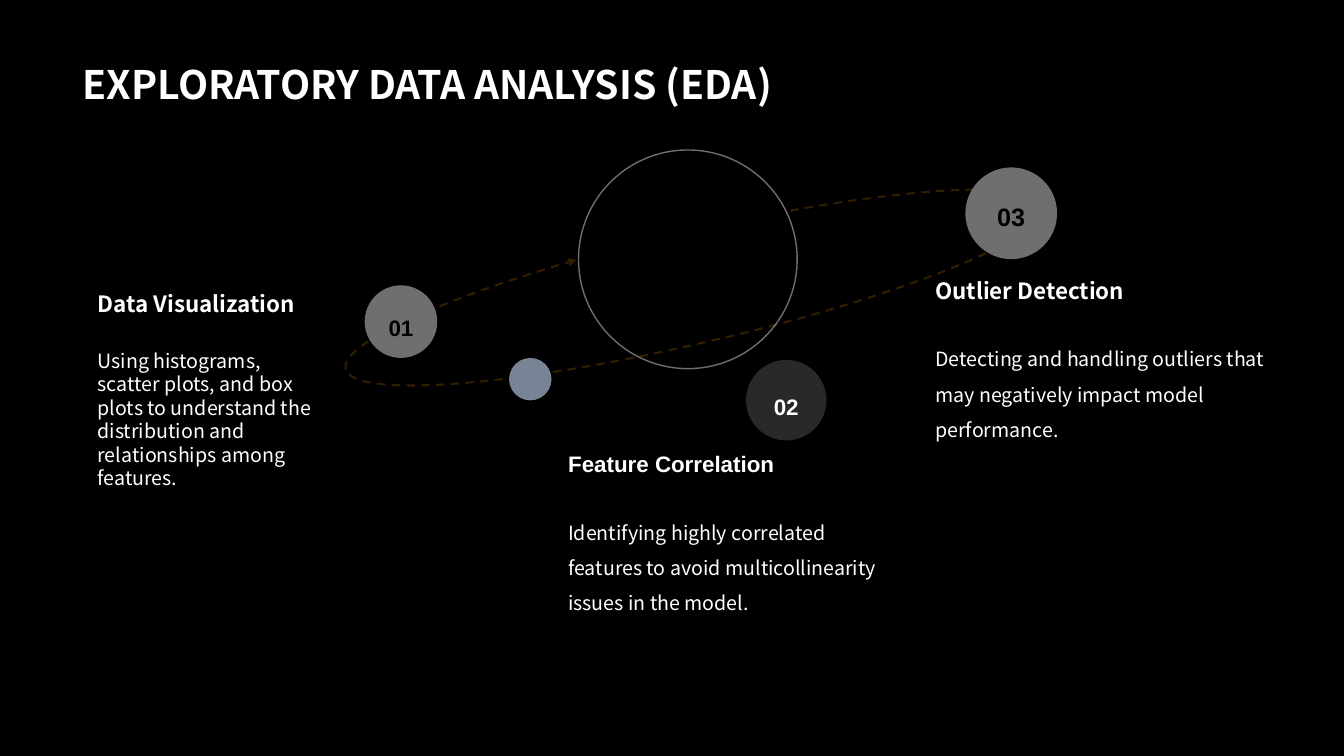
from math import cos, radians, sin

from lxml import etree
from pptx import Presentation
from pptx.dml.color import RGBColor
from pptx.enum.dml import MSO_LINE
from pptx.enum.shapes import MSO_SHAPE
from pptx.enum.text import MSO_ANCHOR, MSO_AUTO_SIZE, PP_ALIGN
from pptx.oxml.ns import qn
from pptx.util import Cm, Pt

OVAL = MSO_SHAPE.OVAL
DASH = MSO_LINE.DASH
TOP, MIDDLE, BOTTOM = MSO_ANCHOR.TOP, MSO_ANCHOR.MIDDLE, MSO_ANCHOR.BOTTOM
LEFT, CENTER = PP_ALIGN.LEFT, PP_ALIGN.CENTER
GROW, FIXED = MSO_AUTO_SIZE.SHAPE_TO_FIT_TEXT, MSO_AUTO_SIZE.NONE

COLORS = {"black": "000000", "white": "FFFFFF", "gray": "6F6F6F",
          "slate": "778495", "orange": "F99A04"}
SANS, ARIAL = "Noto Sans CJK SC", "Arial"

ORBIT_TILT = -2.7
ORBIT_CENTER = (17.53, 7.3)
ORBIT_CURVES = [
    [(19.91, 5.31), (23.5, 4.67), (26.19, 4.57), (26.31, 5.21)],
    [(26.31, 5.21), (26.49, 5.94), (22.71, 7.49), (17.83, 8.61)],
    [(17.83, 8.61), (12.98, 9.75), (8.89, 10.06), (8.71, 9.3)],
    [(8.71, 9.3), (8.56, 8.69), (11.02, 7.57), (14.53, 6.55)],
]
CURVE_STEPS = 24

TOPICS = [
    {"heading": "Outlier Detection", "font": SANS, "at": (23.32, 6.86),
     "width": 8.89, "height": 4.65, "spacing": 1.5,
     "body": "Detecting and handling outliers that may negatively impact model performance."},
    {"heading": "Data Visualization", "font": SANS, "at": (2.21, 7.19),
     "width": 6.15, "height": 6.43, "spacing": None,
     "body": "Using histograms, scatter plots, and box plots to understand the "
             "distribution and relationships among features."},
    {"heading": "Feature Correlation", "font": ARIAL, "at": (14.07, 11.23),
     "width": 8.89, "height": 4.65, "spacing": 1.5,
     "body": "Identifying highly correlated features to avoid multicollinearity "
             "issues in the model."},
]


def rgb(name):
    return RGBColor.from_string(COLORS[name])


def apply(target, values):
    for name, value in values.items():
        setattr(target, name, value)


def set_alpha(fill, percent):
    color = fill._xPr.find(qn("a:solidFill"))[0]
    etree.SubElement(color, qn("a:alpha"), val=str(percent * 1000))


def write_text(sp, text, font, color="white", frame=None, para=None):
    tf = sp.text_frame
    apply(tf, {"word_wrap": True, **(frame or {})})
    p = tf.paragraphs[0]
    apply(p, para or {})
    r = p.add_run()
    r.text = text
    apply(r.font, font)
    r.font.color.rgb = rgb(color)


def add_text(s, box, text, font, frame, para):
    sp = s.shapes.add_textbox(*map(Cm, box))
    write_text(sp, text, font, frame=frame, para={"alignment": LEFT, **para})


def add_circle(s, x, y, size, fill=None, alpha=None):
    sp = s.shapes.add_shape(OVAL, Cm(x), Cm(y), Cm(size), Cm(size))
    sp.shadow.inherit = False
    if fill:
        sp.fill.solid()
        sp.fill.fore_color.rgb = rgb(fill)
        sp.line.fill.background()
    else:
        sp.fill.background()
        sp.line.color.rgb = rgb("gray")
        sp.line.width = Pt(1)
    if alpha:
        set_alpha(sp.fill, alpha)
    return sp


def add_number(s, x, y, size, text, points, fill, color, anchor=TOP, alpha=None):
    sp = add_circle(s, x, y, size, fill, alpha)
    write_text(sp, text, {"name": ARIAL, "size": Pt(points), "bold": True}, color,
               {"vertical_anchor": anchor}, {"alignment": CENTER, "line_spacing": 1.5})


def bezier_point(curve, t):
    weights = ((1 - t) ** 3, 3 * t * (1 - t) ** 2, 3 * t ** 2 * (1 - t), t ** 3)
    return [sum(w * point[axis] for w, point in zip(weights, curve)) for axis in (0, 1)]


def untilt(point):
    angle = radians(-ORBIT_TILT)
    dx, dy = (a - b for a, b in zip(point, ORBIT_CENTER))
    return (Cm(ORBIT_CENTER[0] + dx * cos(angle) - dy * sin(angle)),
            Cm(ORBIT_CENTER[1] + dx * sin(angle) + dy * cos(angle)))


def add_orbit(s):
    points = [untilt(ORBIT_CURVES[0][0])]
    points += [untilt(bezier_point(curve, step / CURVE_STEPS))
               for curve in ORBIT_CURVES for step in range(1, CURVE_STEPS + 1)]
    builder = s.shapes.build_freeform(*points[0])
    builder.add_line_segments(points[1:], close=False)
    sp = builder.convert_to_shape()
    sp.rotation = ORBIT_TILT
    sp.shadow.inherit = False
    sp.fill.background()
    sp.line.color.rgb = rgb("orange")
    apply(sp.line, {"width": Pt(1.5), "dash_style": DASH})
    set_alpha(sp.line.fill, 20)
    etree.SubElement(sp.line._ln, qn("a:tailEnd"), type="triangle")


def add_topic(s, topic):
    x, y = topic["at"]
    frame = {"auto_size": GROW}
    add_text(s, (x, y + 1.47, topic["width"], topic["height"]), topic["body"],
             {"name": SANS, "size": Pt(14)}, frame, {"line_spacing": topic["spacing"]})
    add_text(s, (x, y, topic["width"], 0.94), topic["heading"],
             {"name": topic["font"], "size": Pt(16), "bold": True}, frame, {})


def main():
    """Build the exploratory data analysis slide."""
    prs = Presentation()
    apply(prs, {"slide_width": Cm(33.87), "slide_height": Cm(19.05)})
    s = prs.slides.add_slide(prs.slide_layouts[6])
    s.background.fill.solid()
    s.background.fill.fore_color.rgb = rgb("black")

    add_text(s, (1.83, 0, 30.18, 2.84), "EXPLORATORY DATA ANALYSIS (EDA)",
             {"name": SANS, "size": Pt(28), "bold": True},
             {"vertical_anchor": BOTTOM, "auto_size": FIXED}, {"line_spacing": 0.9})
    add_circle(s, 14.58, 3.78, 5.51)
    add_orbit(s)
    add_number(s, 9.19, 7.19, 1.83, "01", 16, "gray", "black")
    add_number(s, 24.33, 4.22, 2.31, "03", 18, "gray", "black")
    add_circle(s, 12.83, 9.02, 1.07, "slate")
    add_number(s, 18.8, 9.07, 2.03, "02", 16, "white", "white", MIDDLE, 16)
    for topic in TOPICS:
        add_topic(s, topic)
    prs.save("out.pptx")


if __name__ == "__main__":
    main()
